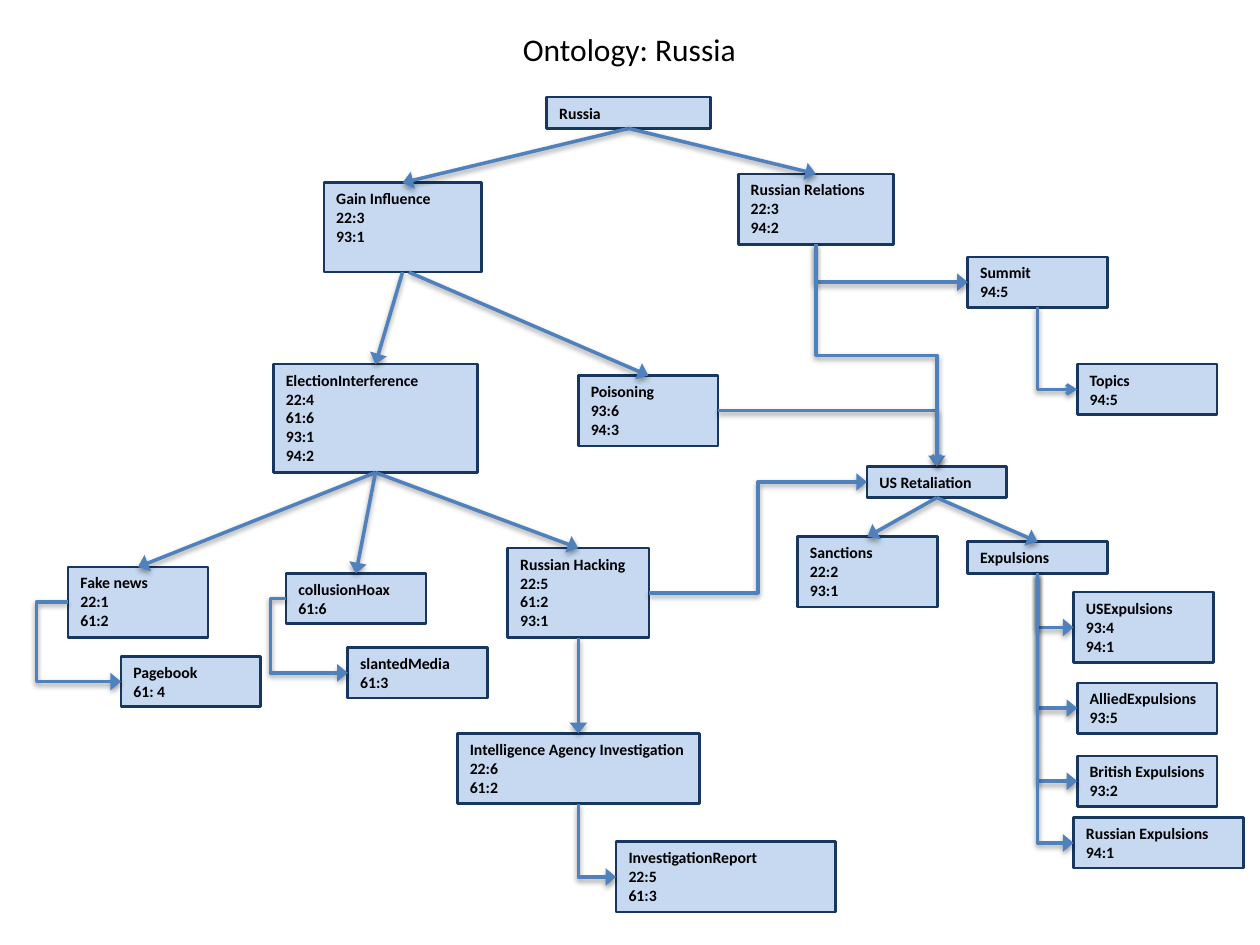
from lxml import etree
from pptx import Presentation
from pptx.dml.color import RGBColor
from pptx.enum.shapes import MSO_CONNECTOR, MSO_SHAPE
from pptx.enum.text import MSO_ANCHOR, MSO_AUTO_SIZE, PP_ALIGN
from pptx.oxml.ns import qn
from pptx.util import Inches, Pt

STRAIGHT, ELBOW = MSO_CONNECTOR.STRAIGHT, MSO_CONNECTOR.ELBOW
RECTANGLE = MSO_SHAPE.RECTANGLE
TOP_ANCHOR, MIDDLE_ANCHOR = MSO_ANCHOR.TOP, MSO_ANCHOR.MIDDLE
NO_AUTOFIT = MSO_AUTO_SIZE.NONE
LEFT_ALIGN, CENTER_ALIGN = PP_ALIGN.LEFT, PP_ALIGN.CENTER
TOP, LEFT, BOTTOM, RIGHT = range(4)  # connection sites of a rectangle

BLACK = RGBColor(0x00, 0x00, 0x00)
PALE_BLUE = RGBColor(0xC6, 0xD9, 0xF1)
NAVY = RGBColor(0x17, 0x37, 0x5E)
BLUE = RGBColor(0x4F, 0x81, 0xBD)

# Name, left, top, width, height, codes
CONCEPTS = [
    ("Russia", 4.34, 0.77, 1.3, 0.25, []),
    ("Gain Influence", 2.57, 1.45, 1.25, 0.71, ["22:3", "93:1"]),
    ("Russian Relations", 5.86, 1.38, 1.23, 0.56, ["22:3", "94:2"]),
    ("Summit", 7.68, 2.04, 1.11, 0.4, ["94:5"]),
    ("Topics", 8.55, 2.89, 1.11, 0.4, ["94:5"]),
    ("ElectionInterference", 2.17, 2.89, 1.62, 0.86, ["22:4", "61:6", "93:1", "94:2"]),
    ("Poisoning", 4.59, 2.98, 1.11, 0.56, ["93:6", "94:3"]),
    ("US Retaliation", 6.88, 3.7, 1.11, 0.25, []),
    ("Sanctions", 6.33, 4.26, 1.11, 0.56, ["22:2", "93:1"]),
    ("Expulsions", 7.68, 4.3, 1.11, 0.25, []),
    ("USExpulsions", 8.52, 4.7, 1.11, 0.56, ["93:4", "94:1"]),
    ("AlliedExpulsions", 8.55, 5.42, 1.11, 0.4, ["93:5"]),
    ("British Expulsions", 8.55, 6, 1.11, 0.4, ["93:2"]),
    ("Russian Expulsions", 8.52, 6.49, 1.35, 0.4, ["94:1"]),
    ("Fake news", 0.54, 4.5, 1.11, 0.56, ["22:1", "61:2"]),
    ("Pagebook", 0.96, 5.21, 1.11, 0.4, ["61: 4"]),
    ("collusionHoax", 2.27, 4.55, 1.11, 0.4, ["61:6"]),
    ("slantedMedia", 2.76, 5.14, 1.11, 0.4, ["61:3"]),
    ("Russian Hacking", 4.03, 4.35, 1.12, 0.71, ["22:5", "61:2", "93:1"]),
    ("Intelligence Agency Investigation", 3.63, 5.82, 1.92, 0.56, ["22:6", "61:2"]),
    ("InvestigationReport", 4.89, 6.68, 1.74, 0.56, ["22:5", "61:3"]),
]

# Source, target, distance of the start from the middle of the source
STRAIGHT_LINKS = [
    ("Russia", "Gain Influence", 0),
    ("Russia", "Russian Relations", 0),
    ("Gain Influence", "ElectionInterference", 0),
    ("Gain Influence", "Poisoning", 0.05),
    ("ElectionInterference", "Russian Hacking", 0),
    ("ElectionInterference", "Fake news", 0),
    ("ElectionInterference", "collusionHoax", 0),
    ("Russian Hacking", "Intelligence Agency Investigation", 0),
    ("US Retaliation", "Sanctions", 0),
    ("US Retaliation", "Expulsions", 0),
]

# Source, its site, target, its site, arrowhead, bend as a share of the width
ELBOW_LINKS = [
    ("Fake news", LEFT, "Pagebook", LEFT, "triangle", -0.6),
    ("collusionHoax", LEFT, "slantedMedia", LEFT, "triangle", -0.25),
    ("Intelligence Agency Investigation", BOTTOM, "InvestigationReport", LEFT, "triangle", None),
    ("Russian Relations", BOTTOM, "Summit", LEFT, "triangle", None),
    ("Poisoning", RIGHT, "US Retaliation", TOP, "triangle", None),
    ("Russian Hacking", RIGHT, "US Retaliation", LEFT, "triangle", 0.5),
    ("Expulsions", BOTTOM, "USExpulsions", LEFT, "triangle", None),
    ("Expulsions", BOTTOM, "AlliedExpulsions", LEFT, "triangle", None),
    ("Expulsions", BOTTOM, "British Expulsions", LEFT, "triangle", None),
    ("Expulsions", BOTTOM, "Russian Expulsions", LEFT, "triangle", None),
    ("Russian Relations", BOTTOM, "US Retaliation", TOP, "arrow", 0.5),
    ("Summit", BOTTOM, "Topics", LEFT, "arrow", None),
]


def write_text(shape, lines, size=9, bold=True, align=LEFT_ALIGN, anchor=TOP_ANCHOR, wrap=True):
    frame = shape.text_frame
    frame.text = "\n".join(lines)
    frame.word_wrap = wrap
    frame.auto_size = NO_AUTOFIT
    frame.vertical_anchor = anchor
    for para in frame.paragraphs:
        para.alignment = align
        para.font.name = "Calibri"
        para.font.size = Pt(size)
        para.font.bold = bold
        para.font.color.rgb = BLACK


def add_arrow(kind, source, source_site, target, target_site, head="triangle", shift=0):
    """Join two boxes, keeping the theme's shadow; a shifted start is not glued."""
    start = boxes[source]
    start_x = start.left + start.width // 2 + Inches(shift)
    arrow = slide.shapes.add_connector(kind, start_x, start.top + start.height, 0, 0)
    if not shift:
        arrow.begin_connect(start, source_site)
    arrow.end_connect(boxes[target], target_site)
    arrow.line.color.rgb = BLUE
    arrow.line.width = Pt(2)
    line = arrow._element.spPr.find(qn("a:ln"))
    tail = etree.SubElement(line, qn("a:tailEnd"), type=head)
    if head == "triangle":
        tail.set("w", "lg")
    return arrow


deck = Presentation()
deck.slide_width, deck.slide_height = Inches(10), Inches(7.5)
slide = deck.slides.add_slide(deck.slide_layouts[5])

title = slide.shapes.title
title.left, title.top = Inches(4.04), Inches(0.19)
title.width, title.height = Inches(1.91), Inches(0.4)
write_text(title, ["Ontology: Russia"], size=18, bold=False, align=CENTER_ALIGN,
           anchor=MIDDLE_ANCHOR, wrap=False)

boxes = {}
for name, left, top, width, height, codes in CONCEPTS:
    box = slide.shapes.add_shape(
        RECTANGLE, Inches(left), Inches(top), Inches(width), Inches(height))
    box.shadow.inherit = False
    box.fill.solid()
    box.fill.fore_color.rgb = PALE_BLUE
    box.line.color.rgb = NAVY
    box.line.width = Pt(1.5)
    box.text_frame.margin_right = Inches(0.05)
    write_text(box, [name, *codes])
    boxes[name] = box

for source, target, shift in STRAIGHT_LINKS:
    add_arrow(STRAIGHT, source, BOTTOM, target, TOP, shift=shift)

for source, source_site, target, target_site, head, bend in ELBOW_LINKS:
    arrow = add_arrow(ELBOW, source, source_site, target, target_site, head)
    geometry = arrow._element.spPr.find(qn("a:prstGeom"))
    if bend is None:
        geometry.set("prst", "bentConnector2")
    else:
        guides = geometry.find(qn("a:avLst"))
        etree.SubElement(guides, qn("a:gd"), name="adj1", fmla=f"val {round(bend * 100000)}")
    if source_site == BOTTOM:
        # Leaving downwards takes a quarter turn about the centre, with sides swapped
        across, down = arrow.width, arrow.height
        arrow.left += (across - down) // 2
        arrow.top += (down - across) // 2
        arrow.width, arrow.height = down, across
        frame = arrow._element.spPr.find(qn("a:xfrm"))
        frame.set("rot", "16200000")
        for flip, value in (("flipH", "1"), ("flipV", "0")):
            frame.set(flip, value)

deck.save("out.pptx")
